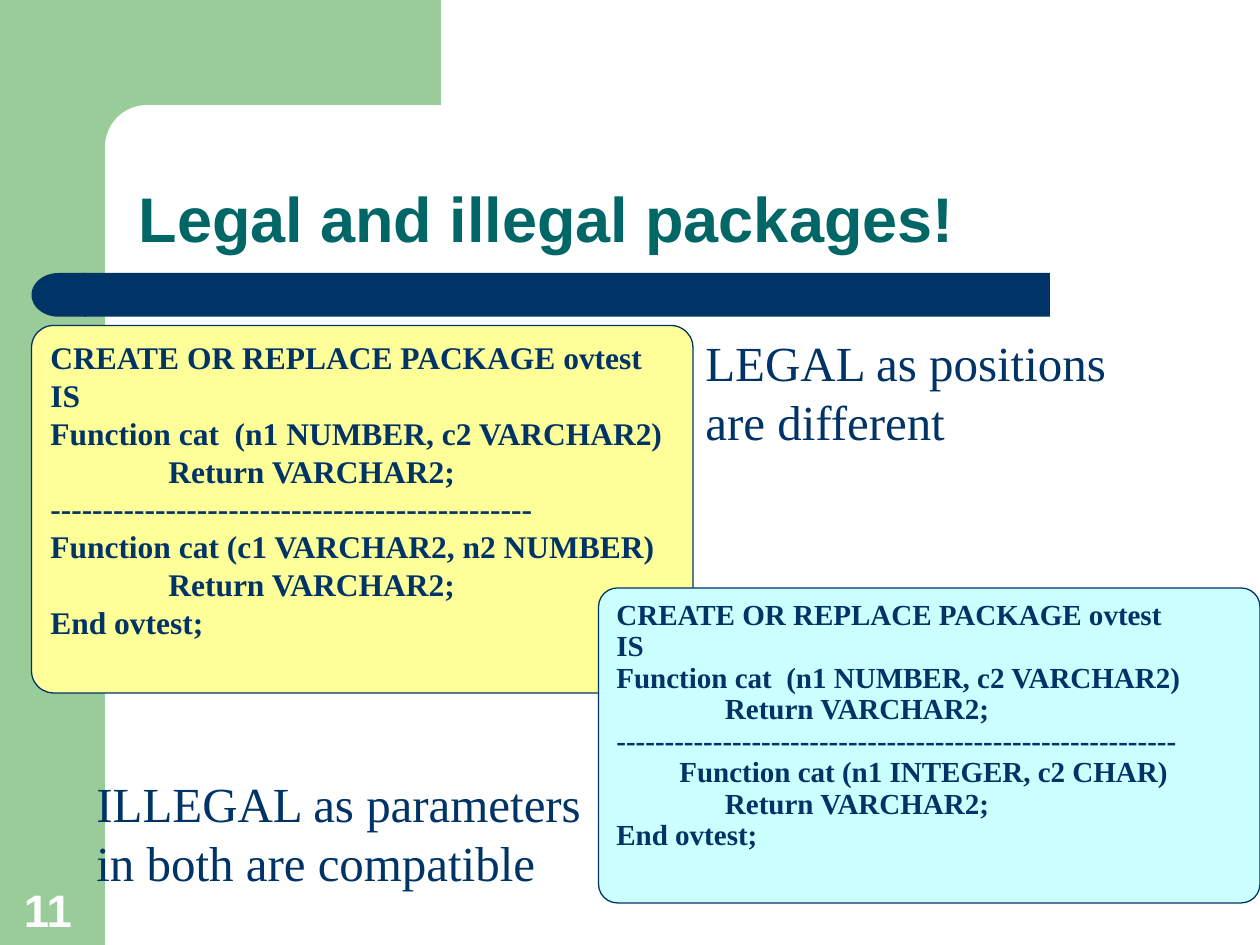
from pptx import Presentation
from pptx.dml.color import RGBColor
from pptx.enum.shapes import MSO_SHAPE
from pptx.enum.text import MSO_ANCHOR, MSO_AUTO_SIZE, PP_ALIGN
from pptx.util import Pt

COLORS = {"green": "99CC99", "white": "FFFFFF", "navy": "003366",
          "teal": "006666", "yellow": "FFFF99", "cyan": "CCFFFF"}
SANS, SERIF = "Arial", "Times New Roman"

TITLE = "Legal and illegal packages!"
HEAD = ["CREATE OR REPLACE PACKAGE ovtest", "IS",
        "Function cat  (n1 NUMBER, c2 VARCHAR2)"]
RETURN = "               Return VARCHAR2;"
END = "End ovtest;"
LEGAL_CODE = HEAD + [RETURN, "-" * 46, "Function cat (c1 VARCHAR2, n2 NUMBER)", RETURN, END]
ILLEGAL_CODE = HEAD + [RETURN, "-" * 58, "Function cat (n1 INTEGER, c2 CHAR)", RETURN, END]

DECOR = [
    (MSO_SHAPE.RECTANGLE, (0, 0, 60, 540), "green", None),
    (MSO_SHAPE.RECTANGLE, (54, 0, 198, 84), "green", None),
    (MSO_SHAPE.ROUNDED_RECTANGLE, (60, 60, 402, 48), "white", 0.5),
    (MSO_SHAPE.RECTANGLE, (48, 156, 552, 25), "navy", None),
    (MSO_SHAPE.FLOWCHART_DELAY, (18, 156, 31, 25), "navy", None),
]
# box, fill, lines, size, line pitch, second-level lines
CODE_BOXES = [
    ((18, 186, 378, 210), "yellow", LEGAL_CODE, 18, 21.6, ()),
    ((342, 336, 378, 180), "cyan", ILLEGAL_CODE, 16.6, 18, (5,)),
]
NOTES = [
    ((396, 186, 251, 75), ["LEGAL as positions", "are different"]),
    ((48, 438, 300, 75), ["ILLEGAL as parameters in both are compatible"]),
]


def rgb(name):
    return RGBColor.from_string(COLORS[name])


def add_text(tf, lines, size, color, font=SERIF, bold=False, spacing=None,
             anchor=MSO_ANCHOR.TOP, hanging=False, nested=()):
    tf.word_wrap = True
    tf.auto_size = MSO_AUTO_SIZE.NONE
    tf.vertical_anchor = anchor
    for i, line in enumerate(lines):
        p = tf.paragraphs[0] if i == 0 else tf.add_paragraph()
        p.alignment = PP_ALIGN.LEFT
        if spacing:
            p.line_spacing = spacing
        if hanging:
            p.level = 1 if i in nested else 0
            left, first = (58.5, -22.5) if i in nested else (27, -27)
            pPr = p._p.get_or_add_pPr()
            pPr.set("marL", str(Pt(left)))
            pPr.set("indent", str(Pt(first)))
        r = p.add_run()
        r.text = line
        r.font.name, r.font.size, r.font.bold = font, Pt(size), bold
        r.font.color.rgb = rgb(color)


def add_box(s, kind, box, fill, adj=None, line=None):
    sp = s.shapes.add_shape(kind, *map(Pt, box))
    sp.shadow.inherit = False
    sp.fill.solid()
    sp.fill.fore_color.rgb = rgb(fill)
    if adj is not None:
        sp.adjustments[0] = adj
    if line:
        sp.line.color.rgb = rgb(line)
        sp.line.width = Pt(0.75)
    else:
        sp.line.fill.background()
    return sp


def add_label(s, box, lines, size, color, **fmt):
    sp = s.shapes.add_textbox(*map(Pt, box))
    add_text(sp.text_frame, lines, size, color, **fmt)


def main():
    """Build the slide on legal and illegal package overloading."""
    prs = Presentation()
    prs.slide_width, prs.slide_height = Pt(720), Pt(540)
    s = prs.slides.add_slide(prs.slide_layouts[5])

    for kind, box, fill, adj in DECOR:
        sp = add_box(s, kind, box, fill, adj)
        if kind == MSO_SHAPE.FLOWCHART_DELAY:
            sp.rotation = 180
    add_label(s, (6.5, 500, 46, 39), ["11"], 26, "white", font=SANS, bold=True,
              anchor=MSO_ANCHOR.BOTTOM)

    title = s.shapes.title
    title.left, title.top, title.width, title.height = map(Pt, (72, 60, 630, 90))
    add_text(title.text_frame, [TITLE], 36, "teal", font=SANS, bold=True,
             spacing=0.9, anchor=MSO_ANCHOR.BOTTOM)
    s.shapes.element.append(title.element)

    for (box, fill, lines, size, pitch, nested), (note, words) in zip(CODE_BOXES, NOTES):
        sp = add_box(s, MSO_SHAPE.ROUNDED_RECTANGLE, box, fill, 0.06, "navy")
        add_text(sp.text_frame, lines, size, "navy", bold=True, spacing=Pt(pitch),
                 hanging=True, nested=nested)
        add_label(s, note, words, 28, "navy", spacing=Pt(34))
    prs.save("out.pptx")


if __name__ == "__main__":
    main()
